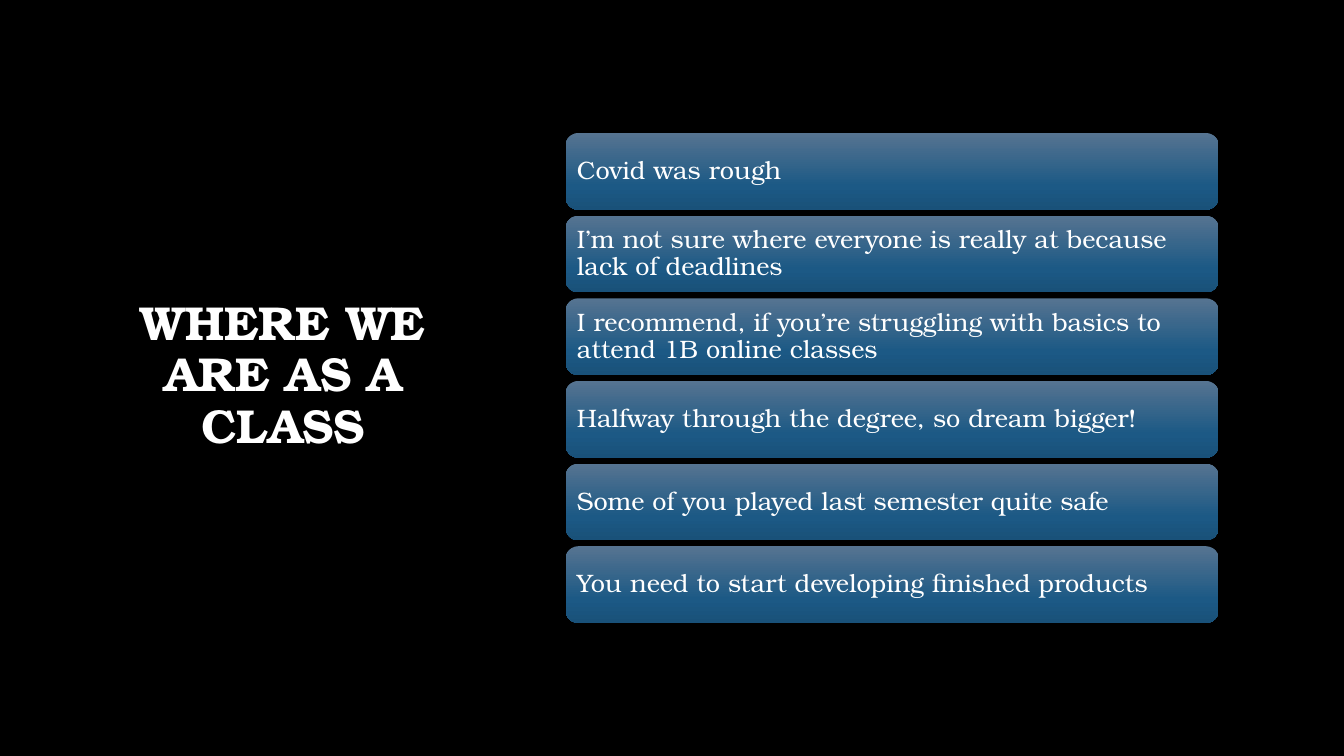
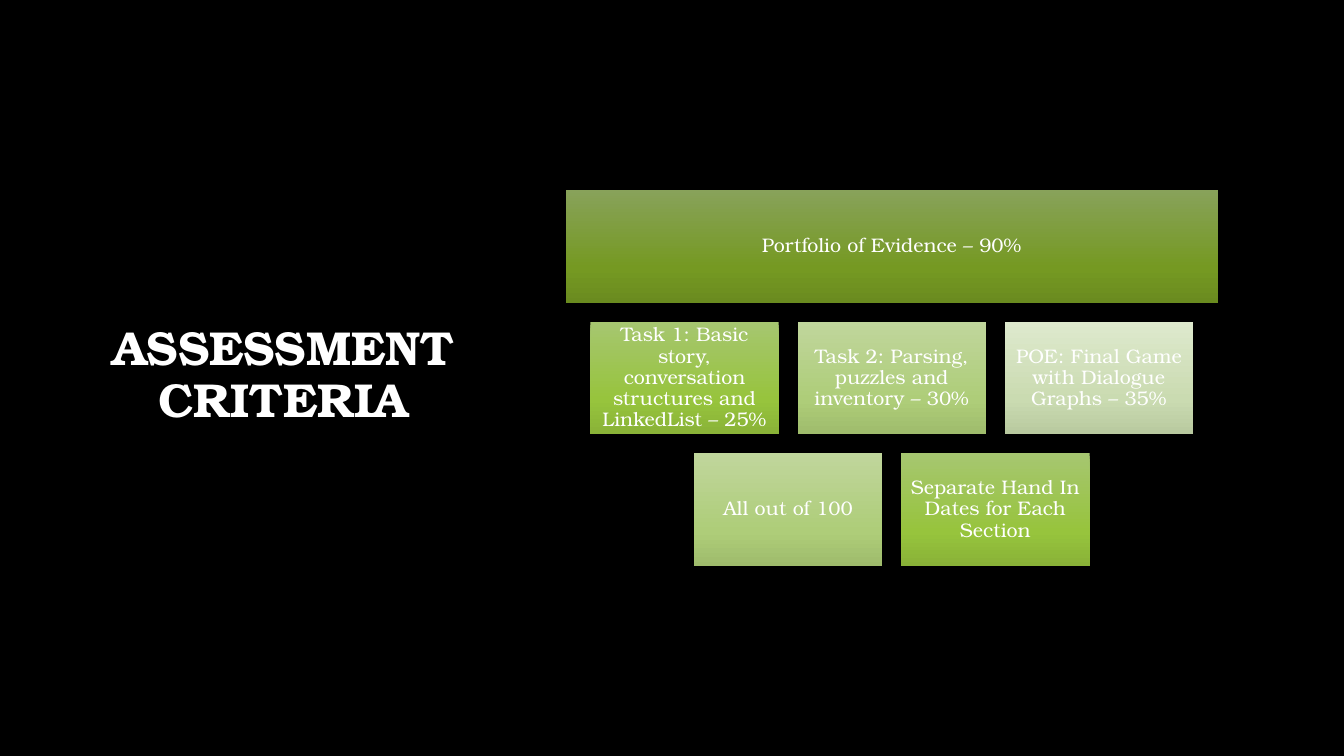
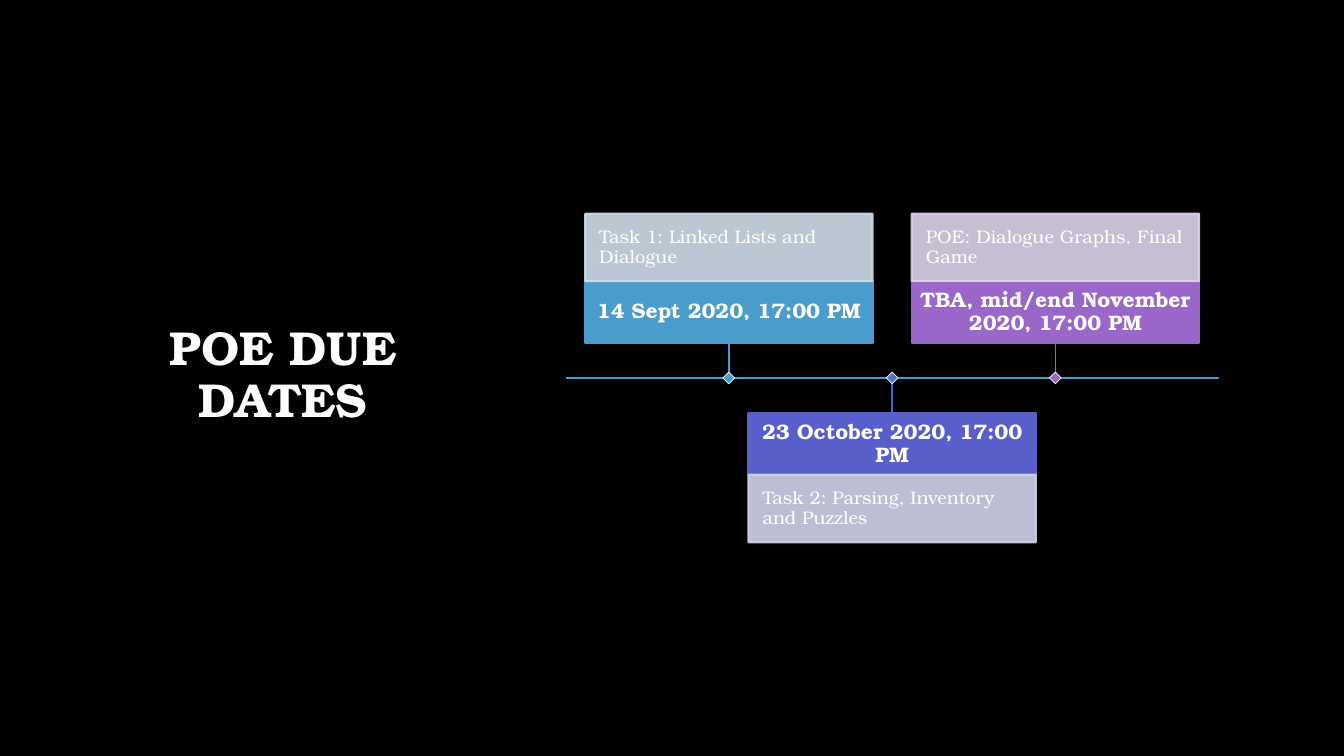
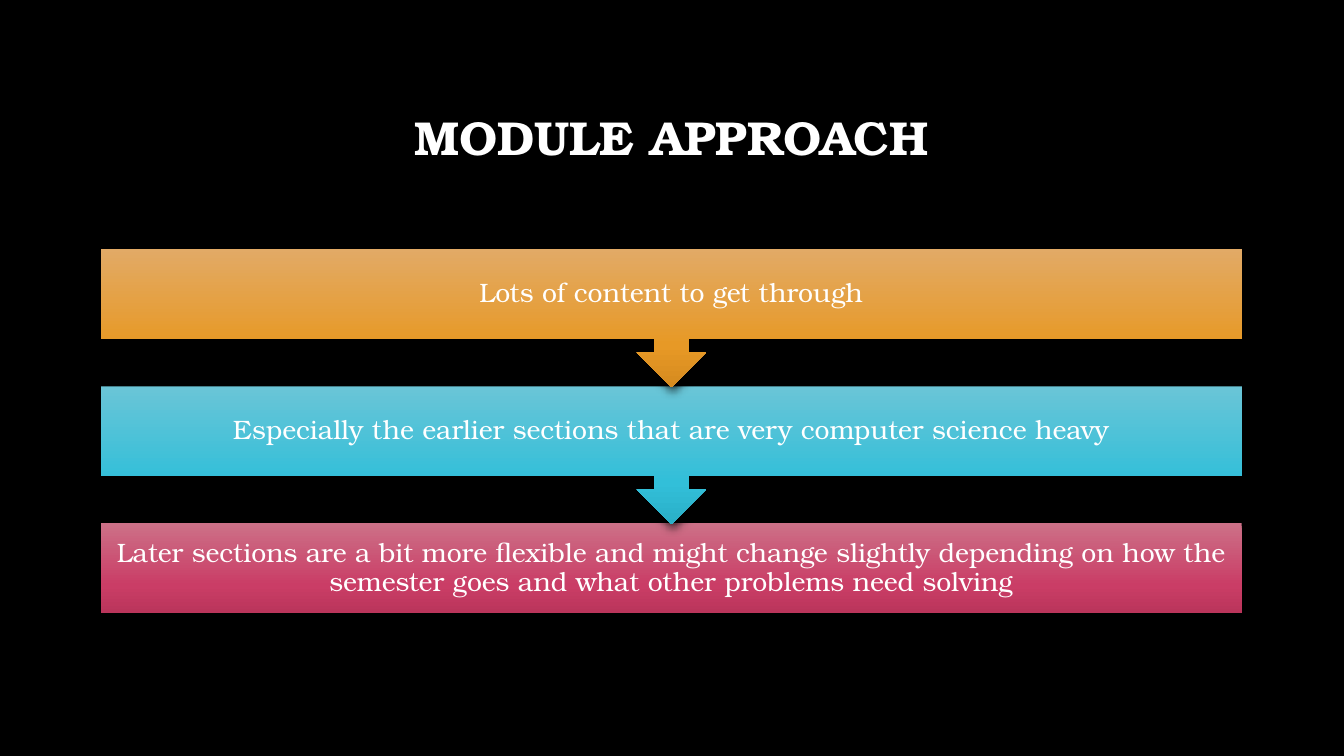
from copy import deepcopy
from dataclasses import dataclass
from typing import NamedTuple

from lxml.etree import SubElement
from pptx import Presentation
from pptx.dml.color import RGBColor
from pptx.enum.shapes import MSO_CONNECTOR, MSO_SHAPE
from pptx.enum.text import MSO_ANCHOR, MSO_AUTO_SIZE, PP_ALIGN
from pptx.oxml.ns import qn
from pptx.util import Pt


class Box(NamedTuple):
    """Left, top, width and height in points."""
    x: float
    y: float
    w: float
    h: float


@dataclass(frozen=True)
class Theme:
    """Colours, type sizes and shared places of the deck."""
    font: str = "TeX Gyre Bonum"
    back: str = "000000"
    text: str = "FFFFFF"
    title: float = 34
    bar: float = 18
    tile: float = 14
    date: float = 15
    task: float = 13
    step: float = 19
    spacing: float = 0.9
    stops: tuple = (0, 0.69, 1)
    navy: tuple = ("567491", "1C5985", "195179")
    olive: tuple = ("88A25A", "759922", "6A8B1F")
    green: tuple = ("A6C670", "97C43D", "89B237")
    lime: tuple = ("C0D69C", "AECD79", "9FBC6C")
    pale: tuple = ("DEE9CD", "CADBB1", "B8C99F")
    orange: tuple = ("E2AA66", "E79926", "D68B1F")
    cyan: tuple = ("6AC5D7", "32BFD9", "2AB0C8")
    rose: tuple = ("CC7087", "CA3D66", "BA355B")
    blue: str = "4A9CCC"
    blue_tint: str = "D0DEEC"
    indigo: str = "585FCB"
    indigo_tint: str = "D2D2EC"
    indigo_pin: str = "5471CB"
    violet: str = "9A66CA"
    violet_tint: str = "DED3EC"
    side: Box = Box(59, 48, 286.5, 441.5)
    top: Box = Box(72, 48, 815, 104.5)


T = Theme()


def rgb(code):
    """Return the colour for a hex code."""
    return RGBColor.from_string(code)


def write(sp, text, size, align=PP_ALIGN.CENTER, inset=None, bold=False):
    """Put one formatted paragraph in the middle of a shape."""
    tf = sp.text_frame
    tf.word_wrap = True
    tf.auto_size = MSO_AUTO_SIZE.NONE
    tf.vertical_anchor = MSO_ANCHOR.MIDDLE
    if inset is not None:
        tf.margin_left = tf.margin_right = Pt(inset)
        tf.margin_top = tf.margin_bottom = Pt(inset)
    p = tf.paragraphs[0]
    p.alignment = align
    p.line_spacing = T.spacing
    r = p.add_run()
    r.text = text
    r.font.name = T.font
    r.font.size = Pt(size)
    r.font.bold = bold
    r.font.color.rgb = rgb(T.text)


def add_shape(s, kind, box, fill, line=None, width=1.5):
    """Add a flat or gradient shape; a tuple of colours makes a gradient."""
    sp = s.shapes.add_shape(kind, *map(Pt, box))
    sp.shadow.inherit = False
    if isinstance(fill, tuple):
        sp.fill.gradient()
        sp.fill.gradient_angle = 270
        stops = sp.element.spPr.find(".//" + qn("a:gsLst"))
        stops.append(deepcopy(stops[0]))
        for stop, pos, code in zip(sp.fill.gradient_stops, T.stops, fill):
            stop.position = pos
            stop.color.rgb = rgb(code)
    else:
        sp.fill.solid()
        sp.fill.fore_color.rgb = rgb(fill)
    if line:
        sp.line.color.rgb = rgb(line)
        sp.line.width = Pt(width)
    else:
        sp.line.fill.background()
    return sp


def set_alpha(sp, percent):
    """Make the fill and line colours of a shape translucent."""
    for clr in sp.element.spPr.iter(qn("a:srgbClr")):
        SubElement(clr, qn("a:alpha"), val=str(percent * 1000))


def add_shadow(sp):
    """Give a shape a soft black shadow below it."""
    effects = sp.element.spPr.find(qn("a:effectLst"))
    shadow = SubElement(effects, qn("a:outerShdw"), blurRad=str(Pt(6)),
                        dist=str(Pt(3)), dir="5400000", rotWithShape="0")
    clr = SubElement(shadow, qn("a:srgbClr"), val=T.back)
    SubElement(clr, qn("a:alpha"), val="76000")


def add_line(s, x1, y1, x2, y2, code, width):
    """Draw a straight line without a shadow."""
    cn = s.shapes.add_connector(MSO_CONNECTOR.STRAIGHT, *map(Pt, (x1, y1, x2, y2)))
    cn.line.color.rgb = rgb(code)
    cn.line.width = Pt(width)
    SubElement(cn.element.spPr, qn("a:effectLst"))


def add_slide(prs, title, box):
    """Add a slide with its title placed in the box."""
    s = prs.slides.add_slide(prs.slide_layouts[5])
    sp = s.shapes.title
    sp.left, sp.top, sp.width, sp.height = map(Pt, box)
    write(sp, title, T.title, bold=True)
    return s


def bar_list(s, box, items, gap=4.2):
    """Stack rounded bars of equal height in the box."""
    h = (box.h - gap * (len(items) - 1)) / len(items)
    for i, text in enumerate(items):
        bar = Box(box.x, box.y + i * (h + gap), box.w, h)
        sp = add_shape(s, MSO_SHAPE.ROUNDED_RECTANGLE, bar, T.navy)
        write(sp, text, T.bar, PP_ALIGN.LEFT, inset=5.4)


def tile_rows(s, box, rows, gap=13.4, tile_w=134.6):
    """Fill the box with centred rows of tiles; a lone tile spans the box."""
    h = (box.h - gap * (len(rows) - 1)) / len(rows)
    for i, row in enumerate(rows):
        w = box.w if len(row) == 1 else tile_w
        left = box.x + (box.w - len(row) * (w + gap) + gap) / 2
        for j, (text, fill) in enumerate(row):
            tile = Box(left + j * (w + gap), box.y + i * (h + gap), w, h)
            sp = add_shape(s, MSO_SHAPE.RECTANGLE, tile, fill)
            write(sp, text, T.tile, inset=4.2)


def timeline(s, box, events, card_w=205.2, stem=25.2, date_h=43.9, pin=8.4):
    """Set dated cards by turns above and below an axis through the box."""
    axis = box.y + box.h / 2
    task_h = box.h / 2 - stem - date_h
    add_line(s, box.x, axis, box.x + box.w, axis, T.blue, 1.5)
    for i, (date, task, code, tint, pin_code) in enumerate(events):
        x = box.x + box.w * (i + 1) / (len(events) + 1)
        left = x - card_w / 2
        if i % 2:
            end = date_y = axis + stem
            task_y = date_y + date_h
        else:
            end = axis - stem
            date_y, task_y = end - date_h, box.y
        sp = add_shape(s, MSO_SHAPE.RECTANGLE, Box(left, date_y, card_w, date_h),
                       code, code)
        write(sp, date, T.date, inset=5.5, bold=True)
        sp = add_shape(s, MSO_SHAPE.RECTANGLE, Box(left, task_y, card_w, task_h),
                       tint, tint)
        set_alpha(sp, 90)
        write(sp, task, T.task, PP_ALIGN.LEFT, inset=10)
        add_line(s, x, axis, x, end, code, 1)
        add_shape(s, MSO_SHAPE.DIAMOND, Box(x - pin / 2, axis - pin / 2, pin, pin),
                  pin_code, T.text, 0.5)


def step_flow(s, box, steps, bar_h=64):
    """Stack steps in the box, each pointing down at the next."""
    pitch = (box.h - bar_h) / (len(steps) - 1)
    for i, (text, fill) in reversed(list(enumerate(steps))):
        last = i == len(steps) - 1
        kind = MSO_SHAPE.RECTANGLE if last else MSO_SHAPE.DOWN_ARROW_CALLOUT
        h = bar_h if last else pitch + 0.6
        sp = add_shape(s, kind, Box(box.x, box.y + i * pitch, box.w, h), fill)
        add_shadow(sp)
        write(sp, text, T.step, inset=10.6)


def main():
    """Build and save the deck."""
    prs = Presentation()
    prs.slide_width, prs.slide_height = Pt(960), Pt(540)
    back = prs.slide_master.background.fill
    back.solid()
    back.fore_color.rgb = rgb(T.back)

    s = add_slide(prs, "WHERE WE ARE AS A CLASS", T.side)
    bar_list(s, Box(404, 95, 466.5, 350), [
        "Covid was rough",
        "I’m not sure where everyone is really at because lack of deadlines",
        "I recommend, if you’re struggling with basics to attend 1B online classes",
        "Halfway through the degree, so dream bigger!",
        "Some of you played last semester quite safe",
        "You need to start developing finished products",
    ])

    s = add_slide(prs, "ASSESSMENT CRITERIA", T.side)
    tile_rows(s, Box(404, 135.7, 466, 268.6), [
        [("Portfolio of Evidence – 90%", T.olive)],
        [("Task 1: Basic story, conversation structures and LinkedList – 25%", T.green),
         ("Task 2: Parsing, puzzles and inventory – 30%", T.lime),
         ("POE: Final Game with Dialogue Graphs – 35%", T.pale)],
        [("All out of 100", T.lime),
         ("Separate Hand In Dates for Each Section", T.green)],
    ])

    s = add_slide(prs, "POE DUE DATES", T.side)
    timeline(s, Box(404, 152.6, 466.5, 234.8), [
        ("14 Sept 2020, 17:00 PM", "Task 1: Linked Lists and Dialogue",
         T.blue, T.blue_tint, T.blue),
        ("23 October 2020, 17:00 PM", "Task 2: Parsing, Inventory and Puzzles",
         T.indigo, T.indigo_tint, T.indigo_pin),
        ("TBA, mid/end November 2020, 17:00 PM", "POE: Dialogue Graphs, Final Game",
         T.violet, T.violet_tint, T.violet),
    ])

    s = add_slide(prs, "MODULE APPROACH", T.top)
    step_flow(s, Box(72, 178, 815, 259.8), [
        ("Lots of content to get through", T.orange),
        ("Especially the earlier sections that are very computer science heavy", T.cyan),
        ("Later sections are a bit more flexible and might change slightly depending "
         "on how the semester goes and what other problems need solving", T.rose),
    ])
    prs.save("out.pptx")


if __name__ == "__main__":
    main()
